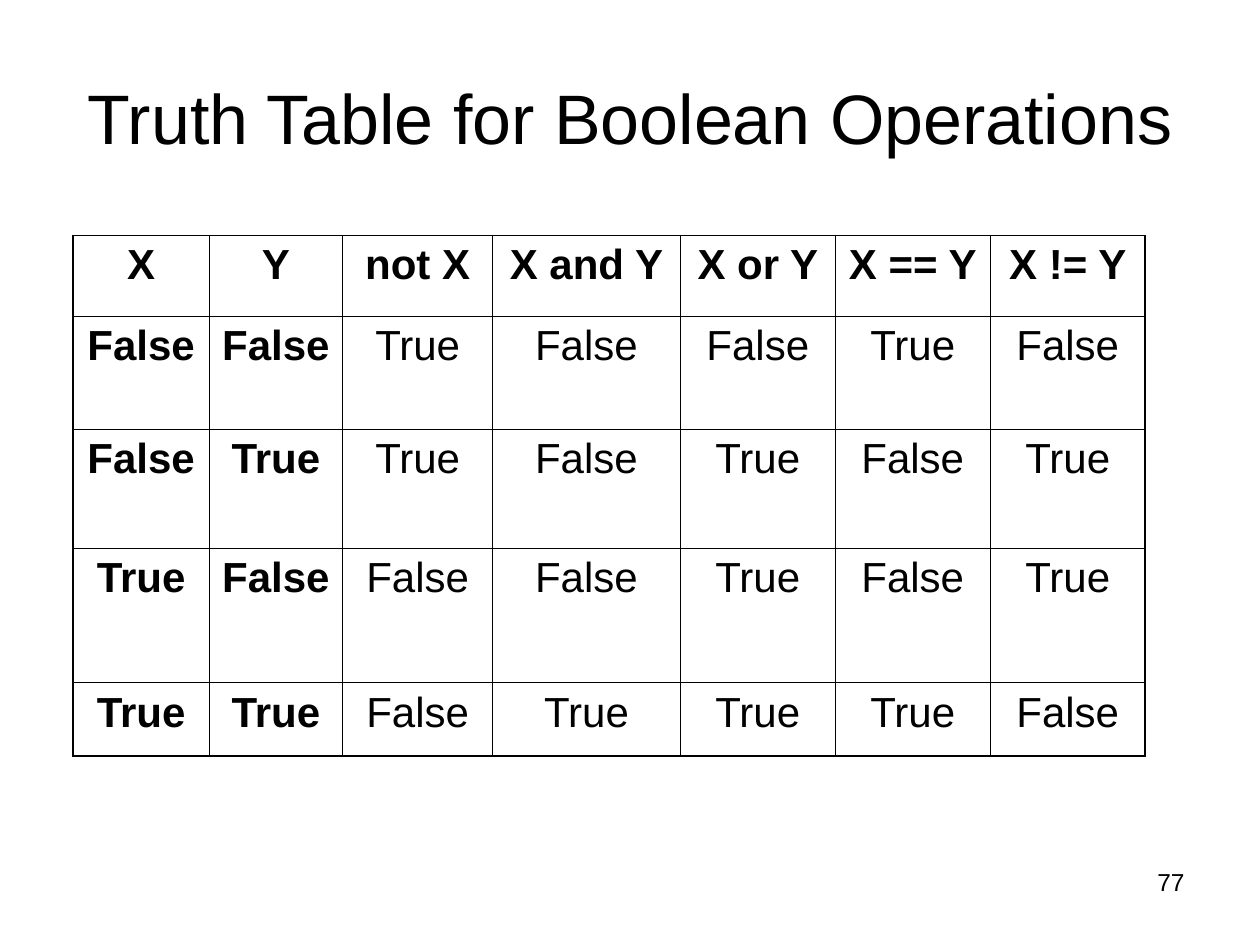
from itertools import product

from lxml.etree import SubElement
from pptx import Presentation
from pptx.dml.color import RGBColor
from pptx.enum.text import MSO_ANCHOR as Anchor, MSO_AUTO_SIZE as AutoSize, PP_ALIGN as Align
from pptx.oxml.ns import qn
from pptx.util import Inches, Pt

COLORS = {"ink": "000000"}
FONT = "Arial"
INNER_LINE, OUTER_LINE = 0.45, 1.08
COLUMN_WIDTHS = [1.08, 1.06, 1.19, 1.49, 1.23, 1.23, 1.23]
ROW_HEIGHTS = [0.64, 0.9, 0.94, 1.07, 0.58]
HEADINGS = ["X", "Y", "not X", "X and Y", "X or Y", "X == Y", "X != Y"]


def write_text(frame, text, size=24, bold=False, align=Align.CENTER):
    para = frame.paragraphs[0]
    para.alignment = align
    span = para.add_run()
    span.text = text
    span.font.name = FONT
    span.font.size = Pt(size)
    span.font.bold = bold
    span.font.color.rgb = RGBColor.from_string(COLORS["ink"])


def place(shape, left, top, width, height):
    shape.left, shape.top = Inches(left), Inches(top)
    shape.width, shape.height = Inches(width), Inches(height)


def add_title(page, text):
    title = page.shapes.title
    place(title, 0.5, 0.3, 9, 1.25)
    title.text_frame.auto_size = AutoSize.NONE
    title.text_frame.vertical_anchor = Anchor.MIDDLE
    write_text(title.text_frame, text, size=40)


def add_page_number(page, text):
    box = page.shapes.add_textbox(Inches(7.17), Inches(6.83), Inches(2.33), Inches(0.52))
    box.text_frame.word_wrap = True
    write_text(box.text_frame, text, size=14, align=Align.RIGHT)


def set_borders(cell, outer_sides):
    properties = cell._tc.get_or_add_tcPr()
    for side in "LRTB":
        width = OUTER_LINE if side in outer_sides else INNER_LINE
        line = SubElement(properties, qn(f"a:ln{side}"), w=str(Pt(width)))
        fill = SubElement(line, qn("a:solidFill"))
        SubElement(fill, qn("a:srgbClr"), val=COLORS["ink"])


def truth_rows():
    for x, y in product([False, True], repeat=2):
        yield [str(value) for value in (x, y, not x, x and y, x or y, x == y, x != y)]


def add_truth_table(page):
    rows = [HEADINGS, *truth_rows()]
    last_row, last_column = len(rows) - 1, len(HEADINGS) - 1
    table = page.shapes.add_table(
        len(rows), len(HEADINGS), Inches(0.58), Inches(1.87),
        Inches(sum(COLUMN_WIDTHS)), Inches(sum(ROW_HEIGHTS))).table
    table.first_row = table.horz_banding = False
    for column, width in zip(table.columns, COLUMN_WIDTHS):
        column.width = Inches(width)
    for row, height in zip(table.rows, ROW_HEIGHTS):
        row.height = Inches(height)
    for r, values in enumerate(rows):
        for c, value in enumerate(values):
            cell = table.cell(r, c)
            edges = {"L": c == 0, "R": c == last_column, "T": r == 0, "B": r == last_row}
            set_borders(cell, [side for side, is_outer in edges.items() if is_outer])
            cell.fill.background()
            write_text(cell.text_frame, value, bold=r == 0 or c < 2)


def main():
    deck = Presentation()
    deck.slide_width, deck.slide_height = Inches(10), Inches(7.5)
    page = deck.slides.add_slide(deck.slide_layouts[5])
    add_page_number(page, "77")
    add_title(page, "Truth Table for Boolean Operations")
    add_truth_table(page)
    deck.save("out.pptx")


if __name__ == "__main__":
    main()
